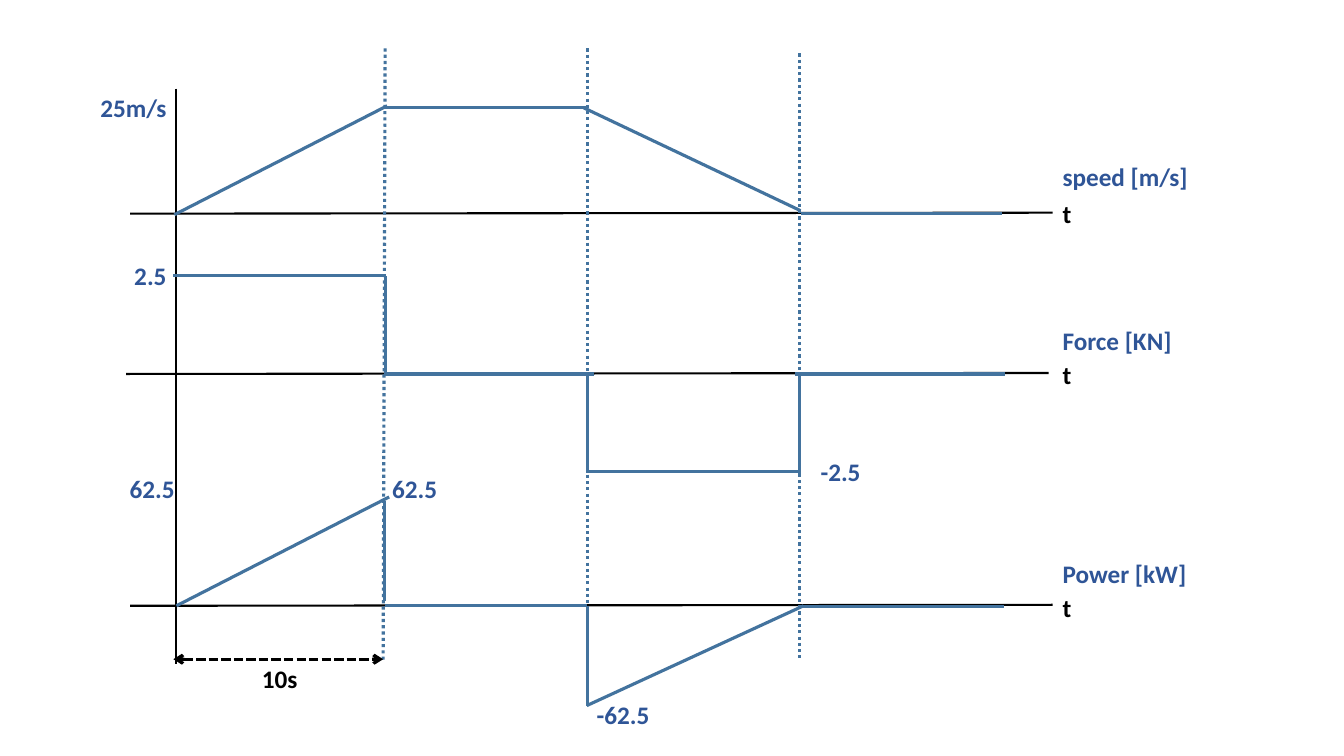
import pptx
import pptx.util
import pptx.dml.color
import pptx.enum.dml
import pptx.enum.shapes
import pptx.enum.text
import pptx.oxml.ns
import lxml.etree

PX = 9144  # EMU per px, 100 px to the inch
BLACK, BLUE, NAVY = "000000", "43739E", "2F5597"
DASH = pptx.enum.dml.MSO_LINE
ALIGN = pptx.enum.text.PP_ALIGN
qn = pptx.oxml.ns.qn


def tint(spot, code):
    spot.rgb = pptx.dml.color.RGBColor.from_string(code)


def draw(ends, code, width, dash=None):
    kind = pptx.enum.shapes.MSO_CONNECTOR.STRAIGHT
    wire = slide.shapes.add_connector(kind, *[n * PX for n in ends])
    tint(wire.line.color, code)
    form = {"width": pptx.util.Pt(width), "dash_style": dash}
    for key, val in form.items():
        setattr(wire.line, key, val)
    lxml.etree.SubElement(wire._element.spPr, qn("a:effectLst"))
    return wire


deck = pptx.Presentation()
deck.slide_width, deck.slide_height = 1333 * PX, 750 * PX
slide = deck.slides.add_slide(deck.slide_layouts[6])

# Axes: one upright, one time axis per graph
draw((175, 88, 175, 659), BLACK, 1.5)
for left, right, top in [(129, 1044, 211), (125, 1040, 370), (129, 1044, 600)]:
    draw((right, top, left, top + 1), BLACK, 1.5)

# Dotted lines between the phases
for ends in [(382, 48, 380, 657), (583, 48, 583, 655), (793, 53, 793, 653)]:
    draw(ends, BLUE, 2.25, DASH.ROUND_DOT)

# Curves, segment by segment
curves = {
    "speed": [(173, 213, 384, 105), (382, 107, 582, 107),
              (579, 107, 794, 209), (794, 212, 994, 212)],
    "force": [(172, 273, 380, 273), (382, 274, 382, 373),
              (381, 371, 589, 371), (583, 370, 583, 469),
              (583, 468, 791, 468), (793, 371, 793, 470),
              (789, 371, 997, 371)],
    "power": [(175, 601, 386, 493), (381, 497, 381, 596),
              (382, 601, 582, 601), (583, 601, 583, 700),
              (582, 700, 797, 601), (795, 602, 996, 602)],
}
for parts in curves.values():
    for ends in parts:
        draw(ends, BLUE, 2.25)

# Time span with arrowheads at both ends
span = draw((172, 654, 380, 654), BLACK, 2.25, DASH.SQUARE_DOT)
for tip in ("a:headEnd", "a:tailEnd"):
    lxml.etree.SubElement(span.line._ln, qn(tip), type="arrow")

# Labels: text, left, top, width, colour, alignment
labels = [
    ("25m/s", 48, 87, 127, NAVY, ALIGN.RIGHT),
    ("2.5", 48, 253, 127, NAVY, ALIGN.RIGHT),
    ("62.5", 56, 465, 127, NAVY, ALIGN.RIGHT),
    ("62.5", 379, 465, 127, NAVY, ALIGN.LEFT),
    ("-2.5", 804, 448, 127, NAVY, ALIGN.LEFT),
    ("-62.5", 582, 689, 127, NAVY, ALIGN.LEFT),
    ("10s", 214, 653, 127, BLACK, ALIGN.CENTER),
]
for name, top, below in [("speed [m/s]", 155, 192), ("Force [KN]", 318, 352),
                         ("Power [kW]", 549, 583)]:
    labels.append((name, 1044, top, 221, NAVY, ALIGN.LEFT))
    labels.append(("t", 1044, below, 127, BLACK, ALIGN.LEFT))

face = {"name": "Calibri", "size": pptx.util.Pt(18), "bold": True}
fit = {"word_wrap": True,
       "auto_size": pptx.enum.text.MSO_AUTO_SIZE.SHAPE_TO_FIT_TEXT}
for words, left, top, width, code, side in labels:
    box = slide.shapes.add_textbox(left * PX, top * PX, width * PX, 40 * PX)
    for key, val in fit.items():
        setattr(box.text_frame, key, val)
    para = box.text_frame.paragraphs[0]
    para.alignment = side
    run = para.add_run()
    run.text = words
    for key, val in face.items():
        setattr(run.font, key, val)
    tint(run.font.color, code)

deck.save("out.pptx")
